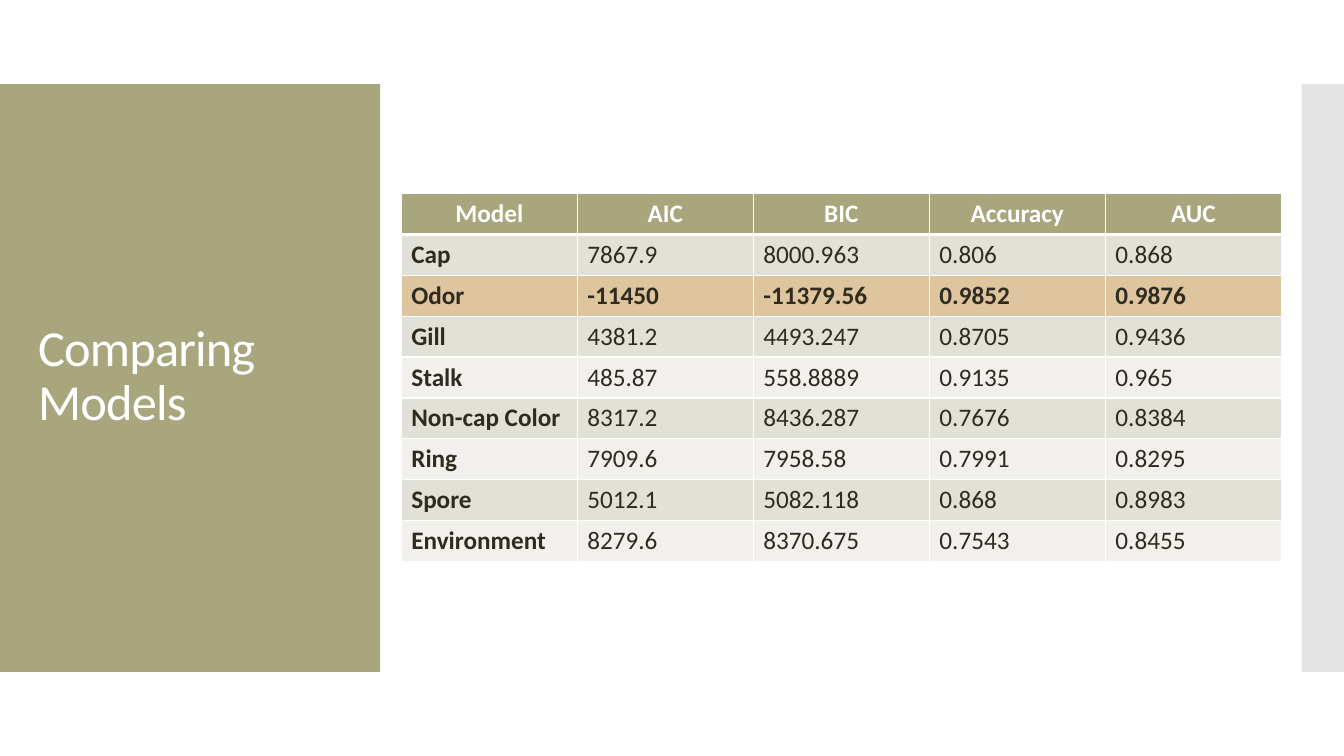
"""Build the slide that compares the models by AIC, BIC, accuracy and AUC."""
import pptx
import pptx.dml.color
import pptx.enum.shapes
import pptx.enum.text
import pptx.oxml
import pptx.oxml.ns
import pptx.util

OLIVE, WHITE, INK = "A9A57C", "FFFFFF", "2F2B20"
BAND_DARK, BAND_LIGHT, BEST = "E2E1D7", "F1F0EC", "DEC59E"
FONT = "Calibri"
SCORES = [
    ["Model", "AIC", "BIC", "Accuracy", "AUC"],
    ["Cap", "7867.9", "8000.963", "0.806", "0.868"],
    ["Odor", "-11450", "-11379.56", "0.9852", "0.9876"],
    ["Gill", "4381.2", "4493.247", "0.8705", "0.9436"],
    ["Stalk", "485.87", "558.8889", "0.9135", "0.965"],
    ["Non-cap Color", "8317.2", "8436.287", "0.7676", "0.8384"],
    ["Ring", "7909.6", "7958.58", "0.7991", "0.8295"],
    ["Spore", "5012.1", "5082.118", "0.868", "0.8983"],
    ["Environment", "8279.6", "8370.675", "0.7543", "0.8455"],
]


def paint(color_format, hex_color):
    color_format.rgb = pptx.dml.color.RGBColor.from_string(hex_color)


def add_border(cell, side, points):
    cell_properties = cell._tc.get_or_add_tcPr()
    border = pptx.oxml.parse_xml(
        f'<a:ln{side} {pptx.oxml.ns.nsdecls("a")} w="{pptx.util.Pt(points)}">'
        f'<a:solidFill><a:srgbClr val="{WHITE}"/></a:solidFill></a:ln{side}>')
    cell_properties.append(border)


deck = pptx.Presentation()
deck.slide_width = pptx.util.Inches(13.33)
deck.slide_height = pptx.util.Inches(7.5)
slide = deck.slides.add_slide(deck.slide_layouts[6])

margin = deck.slide_height // 9
panel_height = deck.slide_height - 2 * margin
title_width = pptx.util.Inches(3.77)
edge_width = pptx.util.Inches(0.42)
panels = []
for left, width, color in [(0, title_width, OLIVE),
                           (deck.slide_width - edge_width, edge_width, "C8C8C8")]:
    panel = slide.shapes.add_shape(
        pptx.enum.shapes.MSO_SHAPE.RECTANGLE, left, margin, width, panel_height)
    panel.shadow.inherit = False
    panel.fill.solid()
    paint(panel.fill.fore_color, color)
    panel.line.fill.background()
    panels.append(panel)
edge_color = panels[1].fill._xPr.find(".//" + pptx.oxml.ns.qn("a:srgbClr"))
edge_color.append(pptx.oxml.parse_xml(
    f'<a:alpha {pptx.oxml.ns.nsdecls("a")} val="50000"/>'))

heading = slide.shapes.add_textbox(
    pptx.util.Inches(0.28), pptx.util.Inches(1.23),
    pptx.util.Inches(3.22), pptx.util.Inches(5.03)).text_frame
heading.word_wrap = True
heading.vertical_anchor = pptx.enum.text.MSO_ANCHOR.MIDDLE
heading.text = "Comparing Models"
heading.paragraphs[0].line_spacing = 0.9
heading_run = heading.paragraphs[0].runs[0]
heading_run.font.name = FONT
heading_run.font.size = pptx.util.Pt(36)
paint(heading_run.font.color, WHITE)
heading_run.font._element.set("spc", "-60")

scores = slide.shapes.add_table(
    len(SCORES), len(SCORES[0]), pptx.util.Inches(3.98), pptx.util.Inches(1.92),
    pptx.util.Inches(8.73), pptx.util.Inches(3.65)).table
scores.horz_banding = False

for row, entries in enumerate(SCORES):
    is_header, is_best = row == 0, entries[0] == "Odor"
    if is_header:
        row_fill = OLIVE
    elif is_best:
        row_fill = BEST
    else:
        row_fill = BAND_DARK if row % 2 else BAND_LIGHT
    for column, entry in enumerate(entries):
        cell = scores.cell(row, column)
        add_border(cell, "L", 1)
        add_border(cell, "R", 1)
        add_border(cell, "T", 3 if row == 1 else 1)
        add_border(cell, "B", 3 if is_header else 1)
        cell.fill.solid()
        paint(cell.fill.fore_color, row_fill)
        cell.text_frame.text = entry
        paragraph = cell.text_frame.paragraphs[0]
        if is_header:
            paragraph.alignment = pptx.enum.text.PP_ALIGN.CENTER
        font = paragraph.runs[0].font
        font.name = FONT
        font.size = pptx.util.Pt(18)
        font.bold = is_header or is_best or column == 0
        paint(font.color, WHITE if is_header else INK)

deck.save("out.pptx")
